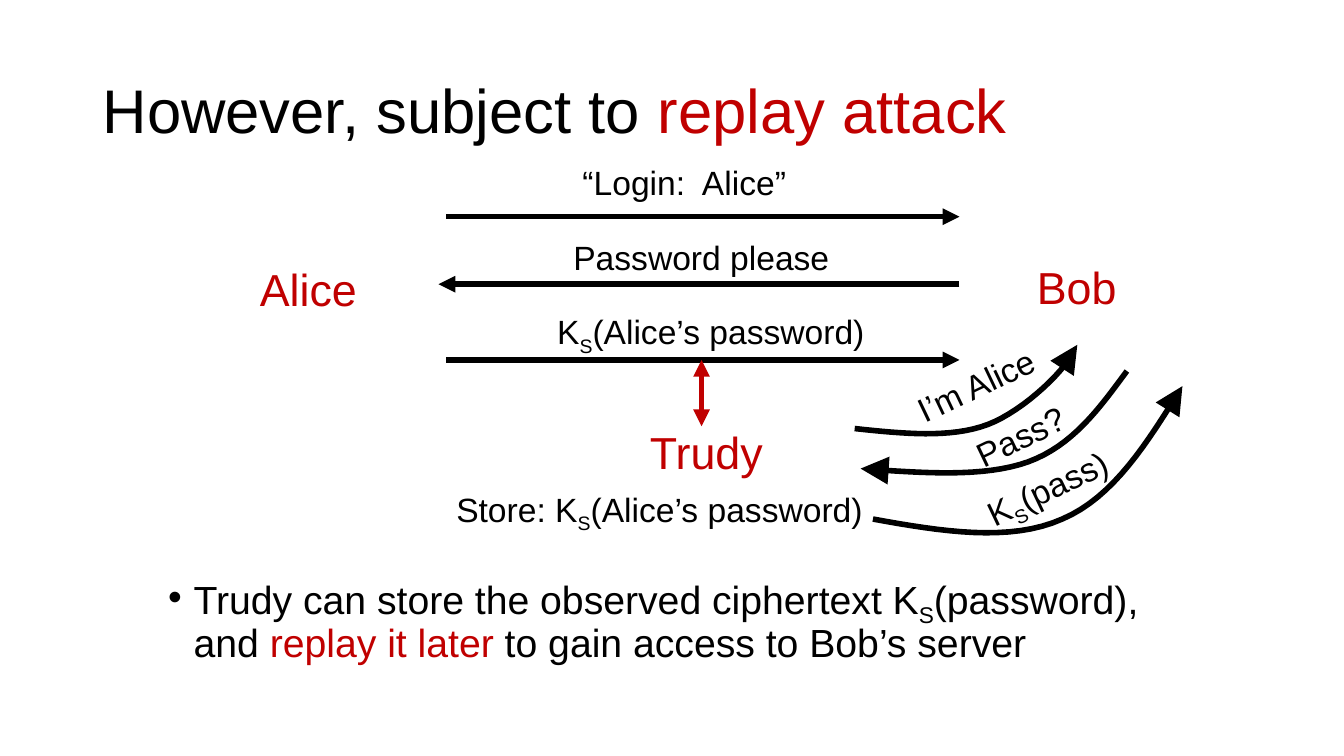
from lxml import etree
from pptx import Presentation, util as u
from pptx.dml.color import RGBColor
from pptx.enum import shapes, text
from pptx.oxml.ns import qn

HUES = {"ink": "000000", "red": "C00000"}
FACE = "Arial"
TILT = -25.5
STEPS = 16  # straight pieces per Bézier arc


def hue(name):
    return RGBColor.from_string(HUES[name])


def write(para, runs, size, base="ink"):
    """Fill a paragraph with (words, mark) runs; a mark is '', 'sub' or 'red'."""
    para.font.name, para.font.size = FACE, u.Pt(size)
    para.font.color.rgb = hue(base)
    for words, mark in runs:
        run = para.add_run()
        run.text = words
        if mark == "sub":
            run._r.get_or_add_rPr().set("baseline", "-25000")
        elif mark:
            run.font.color.rgb = hue(mark)


def label(slide, left, top, width, runs, size=24, base="ink", turn=0):
    high = 1.27 if size == 24 else 1.63
    box = slide.shapes.add_textbox(u.Cm(left), u.Cm(top), u.Cm(width), u.Cm(high))
    box.text_frame.word_wrap = False
    box.rotation = turn
    write(box.text_frame.paragraphs[0], runs, size, base)


def stroke(shape, tint="ink", ends=("tailEnd",), size="med"):
    """Give a line its colour, weight and arrowheads."""
    shape.line.color.rgb = hue(tint)
    shape.line.width = u.Pt(4)
    line = shape.line._get_or_add_ln()
    for end in ends:
        etree.SubElement(line, qn(f"a:{end}"), type="triangle", w=size, len=size)


def arrow(slide, x1, y1, x2, y2, **look):
    line = slide.shapes.add_connector(
        shapes.MSO_CONNECTOR.STRAIGHT, u.Cm(x1), u.Cm(y1), u.Cm(x2), u.Cm(y2))
    stroke(line, **look)
    etree.SubElement(line._element.spPr, qn("a:effectLst"))


def bend(slide, left, top, knots):
    """Draw a curved arrow through chained cubic Bézier arcs."""
    spots = []
    for start in range(0, len(knots) - 1, 3):
        arc = knots[start:start + 4]
        for step in range(STEPS + 1):
            t = step / STEPS
            parts = ((1 - t) ** 3, 3 * t * (1 - t) ** 2, 3 * t * t * (1 - t), t ** 3)
            x, y = (sum(p * knot[axis] for p, knot in zip(parts, arc)) for axis in (0, 1))
            spot = (u.Cm(left + x), u.Cm(top + y))
            if not spots or spot != spots[-1]:
                spots.append(spot)
    pen = slide.shapes.build_freeform(*spots[0])
    pen.add_line_segments(spots[1:], close=False)
    curve = pen.convert_to_shape()
    curve.fill.background()
    curve.shadow.inherit = False
    stroke(curve, size="lg")


def heading(slide, left, top, width, height):
    title = slide.shapes.title
    title.left, title.top = u.Cm(left), u.Cm(top)
    title.width, title.height = u.Cm(width), u.Cm(height)
    frame = title.text_frame
    frame.auto_size = text.MSO_AUTO_SIZE.NONE
    frame.vertical_anchor = text.MSO_ANCHOR.MIDDLE
    para = frame.paragraphs[0]
    para.alignment, para.line_spacing = text.PP_ALIGN.LEFT, 0.9
    write(para, [("However, subject to ", ""), ("replay attack", "red")], 44)


def login(slide, left, top, width):
    """Alice, Bob and the three messages between them."""
    label(slide, left - 4.95, top + 2.52, 2.97, [("Alice", "")], 32, "red")
    label(slide, left + width + 1.7, top + 2.47, 2.54, [("Bob", "")], 32, "red")
    secret = [("K", ""), ("S", "sub"), ("(Alice’s password)", "")]
    sent = [
        (1.5, 0, width, 3.18, 5.69, [("“Login:  Alice”", "")]),
        (3.2, width, -0.2, 2.95, 7.04, [("Password please", "")]),
        (5.11, 0, width, 2.54, 8.59, secret),
    ]
    for row, (line, start, end, inset, wide, words) in enumerate(sent):
        arrow(slide, left + start, top + line, left + end, top + line)
        label(slide, left + inset, top + 1.88 * row, wide, words)


def tap(slide, left, top):
    """Trudy listening in on the last message."""
    arrow(slide, left + 6.43, top, left + 6.43, top + 1.67,
          tint="red", ends=("headEnd", "tailEnd"))
    label(slide, left + 4.88, top + 1.52, 3.38, [("Trudy", "")], 32, "red")
    label(slide, left, top + 3.12, 10.9,
          [("Store: K", ""), ("S", "sub"), ("(Alice’s password)", "")])


def replay(slide, left, top):
    """The later exchange between Trudy and Bob."""
    turns = [
        ([(0, 2.11), (1.22, 2.24), (2.41, 2.36), (3.35, 2.01),
          (4.29, 1.65), (5.41, 0.56), (5.61, 0)],
         (1.22, 0.36, 3.71), [("I’m Alice", "")]),
        ([(6.86, 0.66), (6.17, 1.6), (5.49, 2.54), (4.37, 2.95),
          (3.25, 3.35), (1.7, 3.23), (0.15, 3.12)],
         (2.74, 1.65, 2.9), [("Pass?", "")]),
        ([(0.46, 4.39), (2.18, 4.7), (3.91, 4.98), (5.23, 4.39),
          (6.53, 3.84), (7.39, 2.44), (8.26, 1.04)],
         (2.97, 2.95, 3.84), [("K", ""), ("S", "sub"), ("(pass)", "")]),
    ]
    for knots, (x, y, wide), words in turns:
        bend(slide, left, top, knots)
        label(slide, left + x, top + y, wide, words, turn=TILT)


def note(slide, left, top, width, height):
    box = slide.shapes.add_textbox(u.Cm(left), u.Cm(top), u.Cm(width), u.Cm(height))
    box.text_frame.word_wrap = True
    para = box.text_frame.paragraphs[0]
    para.line_spacing = 0.9
    # Hanging bullet
    props = para._p.get_or_add_pPr()
    props.set("marL", str(u.Cm(0.64)))
    props.set("indent", str(-u.Cm(0.64)))
    etree.SubElement(props, qn("a:buFont"), typeface=FACE)
    etree.SubElement(props, qn("a:buChar"), char="•")
    write(para, [
        ("Trudy can store the observed ciphertext K", ""), ("S", "sub"),
        ("(password), and ", ""), ("replay it later", "red"),
        (" to gain access to Bob’s server", ""),
    ], 28)


def main():
    deck = Presentation()
    deck.slide_width, deck.slide_height = u.Cm(33.87), u.Cm(19.05)
    slide = deck.slides.add_slide(deck.slide_layouts[5])
    heading(slide, 2.33, 1.01, 29.21, 3.68)
    login(slide, 11.25, 3.96, 12.93)
    tap(slide, 11.25, 9.07)
    replay(slide, 21.54, 8.69)
    note(slide, 3.99, 14.38, 26.06, 3.45)
    deck.save("out.pptx")


if __name__ == "__main__":
    main()
